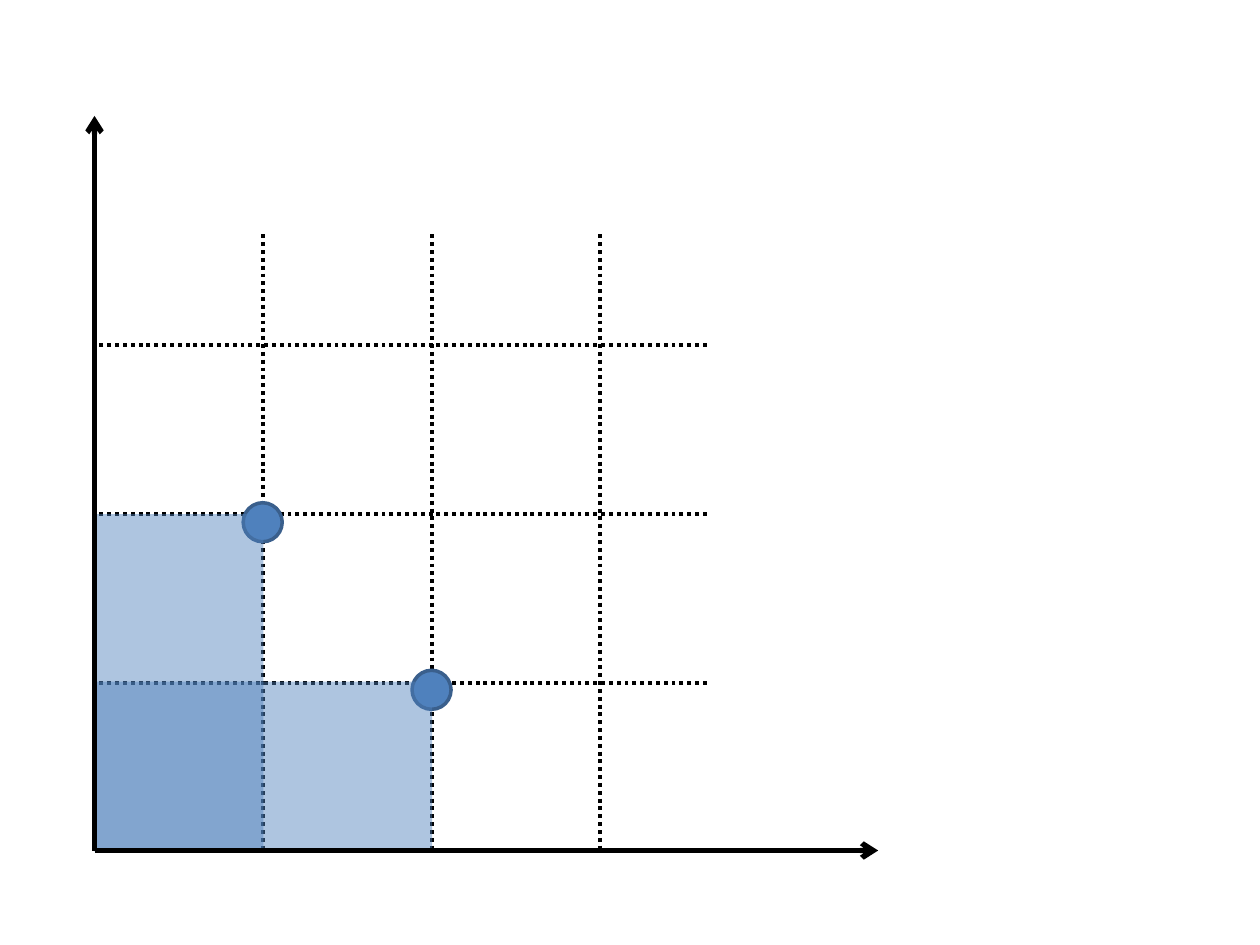
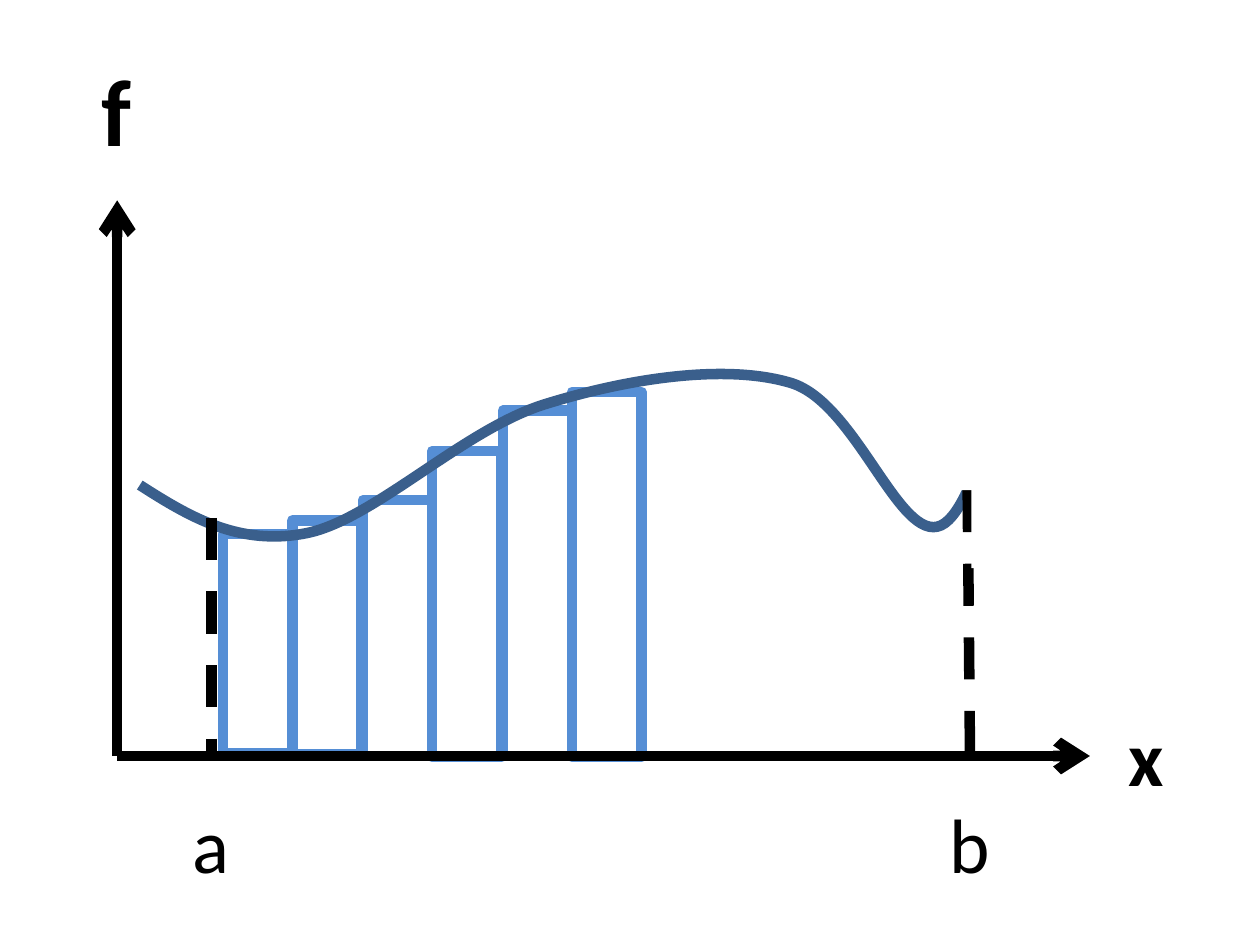
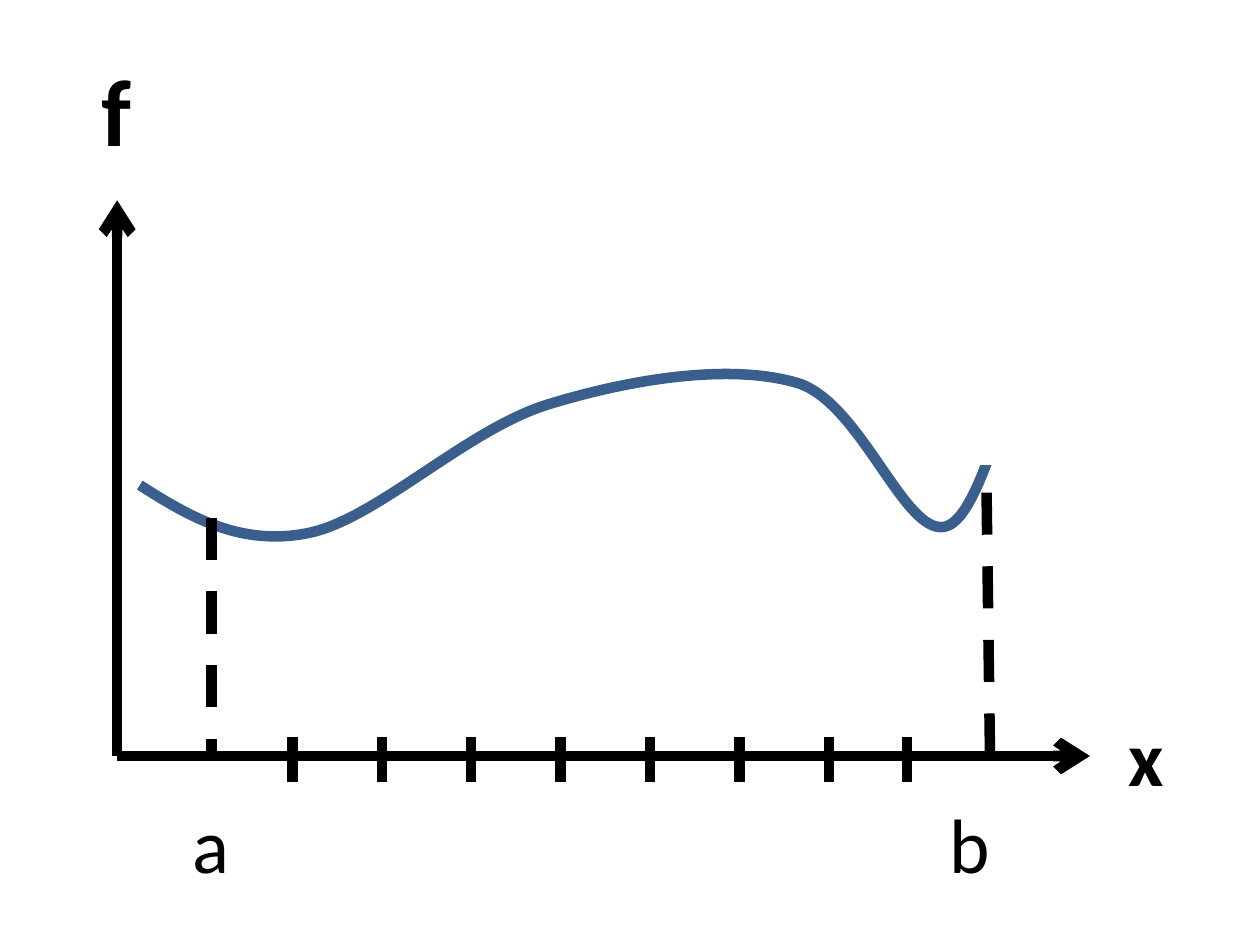
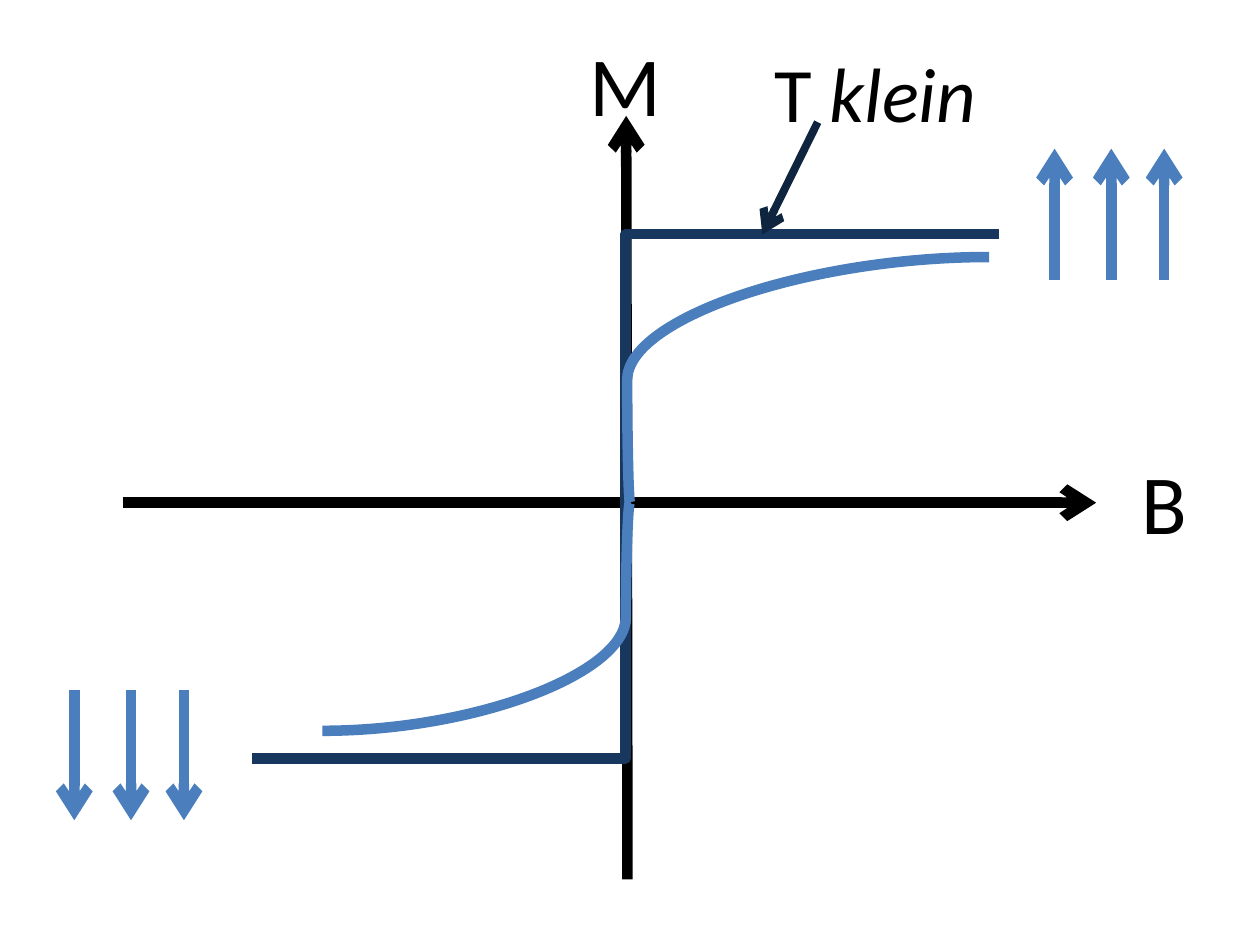
from lxml.etree import SubElement
from pptx import Presentation
from pptx.dml.color import RGBColor
from pptx.enum.dml import MSO_LINE
from pptx.enum.shapes import MSO_CONNECTOR, MSO_SHAPE
from pptx.enum.text import MSO_AUTO_SIZE
from pptx.oxml.ns import qn
from pptx.util import Emu, Pt

PX = 9144  # EMU per px, 100 px to the inch
FONT = "Calibri"
BLACK = RGBColor(0x00, 0x00, 0x00)
WHITE = RGBColor(0xFF, 0xFF, 0xFF)
BLUE = RGBColor(0x4F, 0x81, 0xBD)
DOT_EDGE = RGBColor(0x3A, 0x5F, 0x8C)
BAR_BLUE = RGBColor(0x55, 0x8E, 0xD5)
NAVY = RGBColor(0x17, 0x37, 0x5E)
SPIN_BLUE = RGBColor(0x4B, 0x7E, 0xBC)
POINTER = RGBColor(0x0F, 0x24, 0x3E)

# Pareto grid: line positions, dots, and dominated areas
GRID_X = (209, 343, 476)
GRID_Y = (274, 408, 542)
DOTS = ((327, 532), (193, 399))
AREAS = ((75, 408, 134, 268), (77, 541, 266, 134))

# Integral plots: start point, then cubic segments (two controls and an end)
CURVE_START = (111, 385)
CURVE_SEGMENTS = (
    ((150, 410), (190, 434), (244, 423)),
    ((297, 412), (368, 341), (432, 321)),
    ((496, 301), (575, 288), (628, 304)),
    ((680, 320), (714, 432), (747, 417)),
    ((779, 402), (805, 257), (822, 215)),
    ((839, 173), (843, 169), (848, 165)),
)
PLOT_LABELS = (("f", 71, 36, 44, 101, 54, True), ("x", 886, 558, 49, 84, 44, True),
               ("a", 143, 627, 50, 84, 44, False), ("b", 744, 627, 53, 84, 44, False))
BARS = ((424, 174), (413, 186), (397, 203), (358, 243), (326, 274), (311, 290))  # top, height
BAR_LEFT, BAR_STEP, BAR_WIDTH = 177, 55.4, 55
TICKS = [232 + 71 * index for index in range(7)] + [720]
BAR_PLOT = {"stretch": 1, "right_edge": ((768, 389), (770, 618)),
            "covers": ((771, 137, 115, 314), (739, 333, 57, 56)), "bars": BARS}
TICK_PLOT = {"stretch": 744 / 737, "right_edge": ((783, 391), (786, 620)),
             "covers": ((794, 138, 115, 314), (744, 313, 57, 56)), "ticks": TICKS}

# Magnetisation: spin arrows as x positions, tail y, head y
SPINS = (((837, 882, 924), 222, 118), ((59, 104, 146), 548, 651))
MAGNET_CURVES = (((785, 204), -800), ((256, 580), 1300))  # end, bend


def emu(*lengths):
    return [Emu(round(length * PX)) for length in lengths]


def add_line(page, start, end, color=BLACK, width=6, dash=None, arrow=False,
             kind=MSO_CONNECTOR.STRAIGHT, bend=None):
    line = page.shapes.add_connector(kind, *emu(*start, *end))
    line.line.color.rgb = color
    line.line.width = Pt(width)
    if dash:
        line.line.dash_style = dash
    properties = line._element.spPr
    if arrow:
        SubElement(properties.find(qn("a:ln")), qn("a:tailEnd"), type="arrow")
    if bend is not None:
        adjustments = properties.find(qn("a:prstGeom")).find(qn("a:avLst"))
        SubElement(adjustments, qn("a:gd"), name="adj1", fmla=f"val {bend}")
    SubElement(properties, qn("a:effectLst"))


def style(shape, fill=None, alpha=None, edge=None, width=6):
    shape.shadow.inherit = False
    if fill is None:
        shape.fill.background()
    else:
        shape.fill.solid()
        shape.fill.fore_color.rgb = fill
    if alpha:
        color = shape._element.spPr.find(qn("a:solidFill"))[0]
        SubElement(color, qn("a:alpha"), val=str(alpha * 1000))
    if edge is None:
        shape.line.fill.background()
    else:
        shape.line.color.rgb = edge
        shape.line.width = Pt(width)


def add_box(page, place, kind=MSO_SHAPE.RECTANGLE, **look):
    style(page.shapes.add_shape(kind, *emu(*place)), **look)


def add_text(page, text, place, size=44, bold=False, italic_tail=""):
    box = page.shapes.add_textbox(*emu(*place))
    box.text_frame.word_wrap = False
    box.text_frame.auto_size = MSO_AUTO_SIZE.SHAPE_TO_FIT_TEXT
    para = box.text_frame.paragraphs[0]
    for part, italic in ((text, False), (italic_tail, True)):
        if part:
            span = para.add_run()
            span.text = part
            span.font.name = FONT
            span.font.size = Pt(size)
            span.font.bold = bold
            span.font.italic = italic
            span.font.color.rgb = BLACK


def add_curve(page, start, segments, **look):
    ends = [segment[-1] for segment in segments]
    builder = page.shapes.build_freeform(*start, scale=PX)
    builder.add_line_segments(ends, close=False)
    curve = builder.convert_to_shape()
    left = min(x for x, y in [start, *ends])
    top = min(y for x, y in [start, *ends])
    # Turn each straight segment into a cubic one
    outline = next(curve._element.iter(qn("a:path")))
    for straight in outline.findall(qn("a:lnTo")):
        outline.remove(straight)
    for segment in segments:
        cubic = SubElement(outline, qn("a:cubicBezTo"))
        for x, y in segment:
            SubElement(cubic, qn("a:pt"), x=str(x - left), y=str(y - top))
    style(curve, **look)


def draw_grid(page):
    for x in GRID_X:
        add_line(page, (x, 186), (x, 675), width=2.25, dash=MSO_LINE.ROUND_DOT)
    for y in GRID_Y:
        add_line(page, (561, y), (71, y), width=2.25, dash=MSO_LINE.ROUND_DOT)
    for x, y in DOTS:
        add_box(page, (x, y, 31, 31), MSO_SHAPE.OVAL, fill=BLUE, edge=DOT_EDGE, width=2)
    for area in AREAS:
        add_box(page, area, fill=BLUE, alpha=46)
    for end in ((697, 675), (75, 92)):
        add_line(page, (75, 675), end, width=3, arrow=True)


def draw_integral(page, stretch, right_edge, covers, bars=(), ticks=()):
    add_line(page, (93, 600), (93, 159), arrow=True)
    for index, (top, height) in enumerate(bars):
        left = round(BAR_LEFT + index * BAR_STEP)
        add_box(page, (left, top, BAR_WIDTH, height), edge=BAR_BLUE)
    add_line(page, (93, 600), (865, 600), arrow=True)
    origin = CURVE_START[0]
    segments = [[(round(origin + (x - origin) * stretch), y) for x, y in segment]
                for segment in CURVE_SEGMENTS]
    add_curve(page, CURVE_START, segments, edge=DOT_EDGE)
    for start, end in (((168, 411), (168, 600)), right_edge):
        add_line(page, start, end, dash=MSO_LINE.DASH)
    # White covers end the curve at b
    for cover in covers:
        add_box(page, cover, fill=WHITE)
    for text, left, top, width, height, size, bold in PLOT_LABELS:
        add_text(page, text, (left, top, width, height), size=size, bold=bold)
    for x in ticks:
        add_line(page, (x, 585), (x, 621))


def draw_magnetisation(page):
    add_line(page, (98, 399), (870, 399), arrow=True)
    add_line(page, (498, 698), (497, 92), arrow=True)
    add_line(page, (200, 602), (793, 186), color=NAVY, kind=MSO_CONNECTOR.ELBOW)
    add_text(page, "B", (896, 353, 57, 91), size=48)
    add_text(page, "M", (458, 21, 78, 91), size=48)
    for end, bend in MAGNET_CURVES:
        add_line(page, (500, 399), end, color=SPIN_BLUE, kind=MSO_CONNECTOR.CURVE, bend=bend)
    for columns, tail, head in SPINS:
        for x in columns:
            add_line(page, (x, tail), (x, head), color=SPIN_BLUE, arrow=True)
    add_text(page, "T ", (605, 31, 184, 84), italic_tail="klein")
    add_line(page, (649, 97), (605, 186), color=POINTER, width=4.5, arrow=True)


def main():
    deck = Presentation()
    deck.slide_width, deck.slide_height = emu(1000, 750)
    for draw, options in ((draw_grid, {}), (draw_integral, BAR_PLOT),
                          (draw_integral, TICK_PLOT), (draw_magnetisation, {})):
        draw(deck.slides.add_slide(deck.slide_layouts[6]), **options)
    deck.save("out.pptx")


if __name__ == "__main__":
    main()
